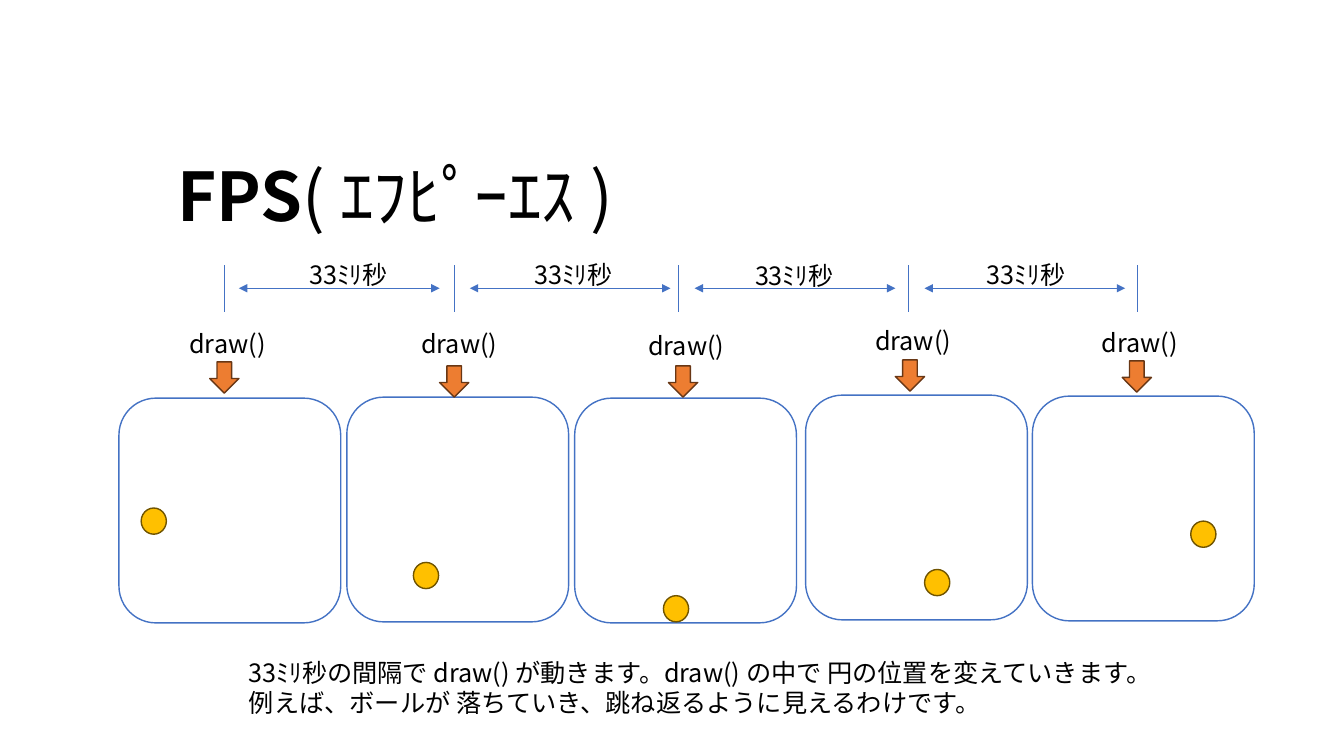
from lxml import etree
from pptx import Presentation
from pptx.dml.color import RGBColor
from pptx.enum.shapes import MSO_CONNECTOR, MSO_SHAPE
from pptx.enum.text import MSO_AUTO_SIZE
from pptx.oxml.ns import qn
from pptx.util import Pt

PX = 9144  # 100 px to the inch
FONT = "Noto Sans CJK JP"
BLACK = RGBColor(0x00, 0x00, 0x00)
WHITE = RGBColor(0xFF, 0xFF, 0xFF)
BLUE = RGBColor(0x44, 0x72, 0xC4)
GOLD = RGBColor(0xFF, 0xC0, 0x00)
DARK_GOLD = RGBColor(0x70, 0x54, 0x00)
ORANGE = RGBColor(0xED, 0x7D, 0x31)
BROWN = RGBColor(0x68, 0x37, 0x15)

prs = Presentation()
prs.slide_width, prs.slide_height = 1333 * PX, 750 * PX
s = prs.slides.add_slide(prs.slide_layouts[6])


def add_text(x, y, w, h, paragraphs, size=18):
    """Add a wrapping text box; each paragraph is a list of (text, bold) runs."""
    tf = s.shapes.add_textbox(x * PX, y * PX, w * PX, h * PX).text_frame
    tf.word_wrap = True
    tf.auto_size = MSO_AUTO_SIZE.SHAPE_TO_FIT_TEXT
    for i, runs in enumerate(paragraphs):
        p = tf.add_paragraph() if i else tf.paragraphs[0]
        for text, bold in runs:
            r = p.add_run()
            r.text = text
            r.font.size = Pt(size)
            r.font.bold = bold
            r.font.color.rgb = BLACK
            r.font.name = FONT
            etree.SubElement(r._r.get_or_add_rPr(), qn("a:ea"), typeface=FONT)


def add_line(x1, y1, x2, y2, arrows=False):
    line = s.shapes.add_connector(
        MSO_CONNECTOR.STRAIGHT, x1 * PX, y1 * PX, x2 * PX, y2 * PX)
    line.line.color.rgb = BLUE
    line.line.width = Pt(0.5)
    if arrows:
        ln = line.line._get_or_add_ln()
        for end in ("a:headEnd", "a:tailEnd"):
            etree.SubElement(ln, qn(end), type="triangle")
    etree.SubElement(line._element.spPr, qn("a:effectLst"))


add_text(166, 148, 1046, 91, [[("FPS", True), ("( ｴﾌﾋﾟｰｴｽ )", False)]], size=48)

# Frames of the animation: left-top of frame, ball, arrow and label
frames = [
    ((118, 395), (140, 504), (208, 359), (178, 321)),
    ((344, 394), (410, 558), (436, 363), (408, 321)),
    ((570, 395), (658, 591), (663, 363), (633, 323)),
    ((799, 392), (917, 565), (888, 357), (858, 318)),
    ((1024, 393), (1181, 517), (1113, 358), (1083, 320)),
]
styles = [
    (MSO_SHAPE.ROUNDED_RECTANGLE, 220, 223, WHITE, BLUE),
    (MSO_SHAPE.OVAL, 25, 26, GOLD, DARK_GOLD),
    (MSO_SHAPE.DOWN_ARROW, 29, 31, ORANGE, BROWN),
]
for *places, label in frames:
    for (x, y), (kind, w, h, fill, outline) in zip(places, styles):
        sp = s.shapes.add_shape(kind, x * PX, y * PX, w * PX, h * PX)
        sp.shadow.inherit = False
        sp.fill.solid()
        sp.fill.fore_color.rgb = fill
        sp.line.color.rgb = outline
        sp.line.width = Pt(1)
    add_text(*label, 101, 40, [[("draw()", False)]])

add_text(237, 647, 937, 71, [
    [("33ﾐﾘ秒の間隔で draw() が動きます。draw() の中で 円の位置を変えていきます。", False)],
    [("例えば、ボールが 落ちていき、跳ね返るように見えるわけです。", False)],
])

# Time axis: ticks at each draw() and the interval between them
for x in (223, 451, 673, 901, 1128):
    add_line(x, 263, x, 310)
for x, label_x, label_y in ((237, 297, 252), (466, 520, 252),
                            (689, 739, 253), (917, 969, 252)):
    add_line(x, 286, x + 199, 286, arrows=True)
    add_text(label_x, label_y, 100, 40, [[("33ﾐﾘ秒", False)]])

prs.save("out.pptx")
